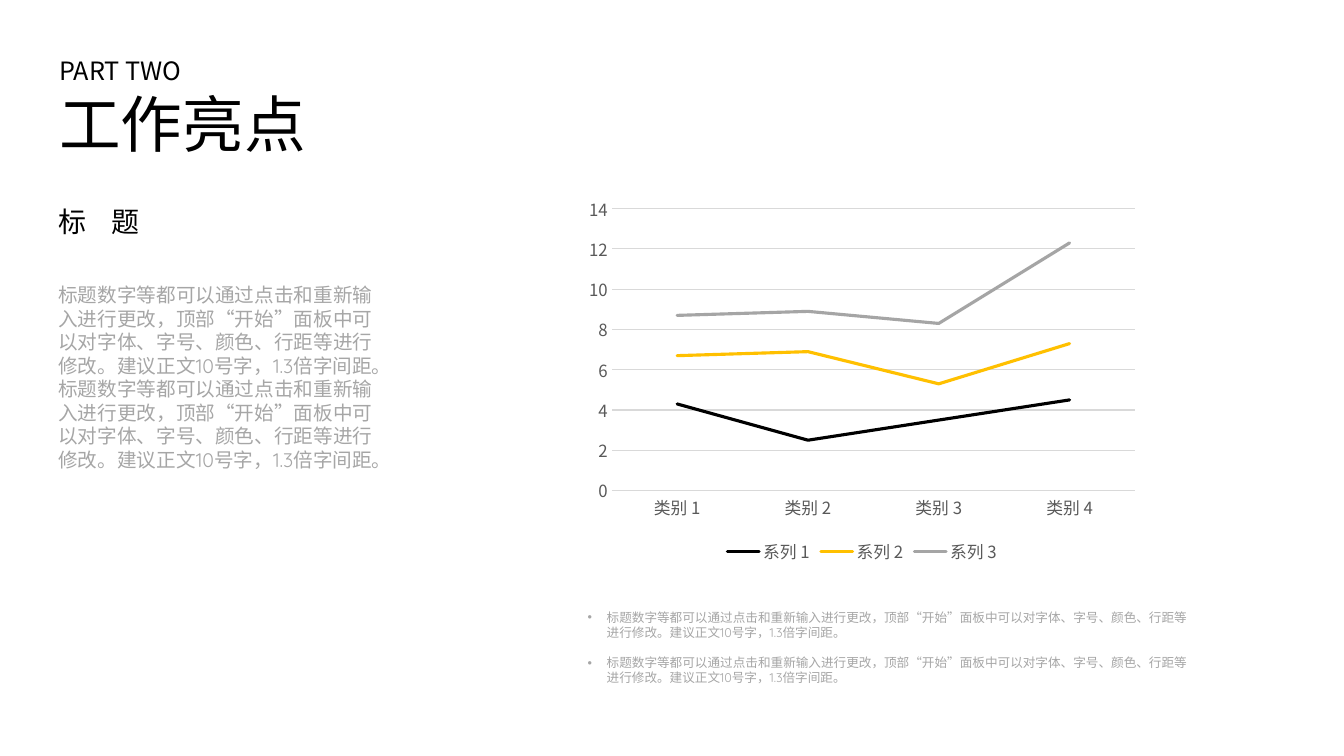
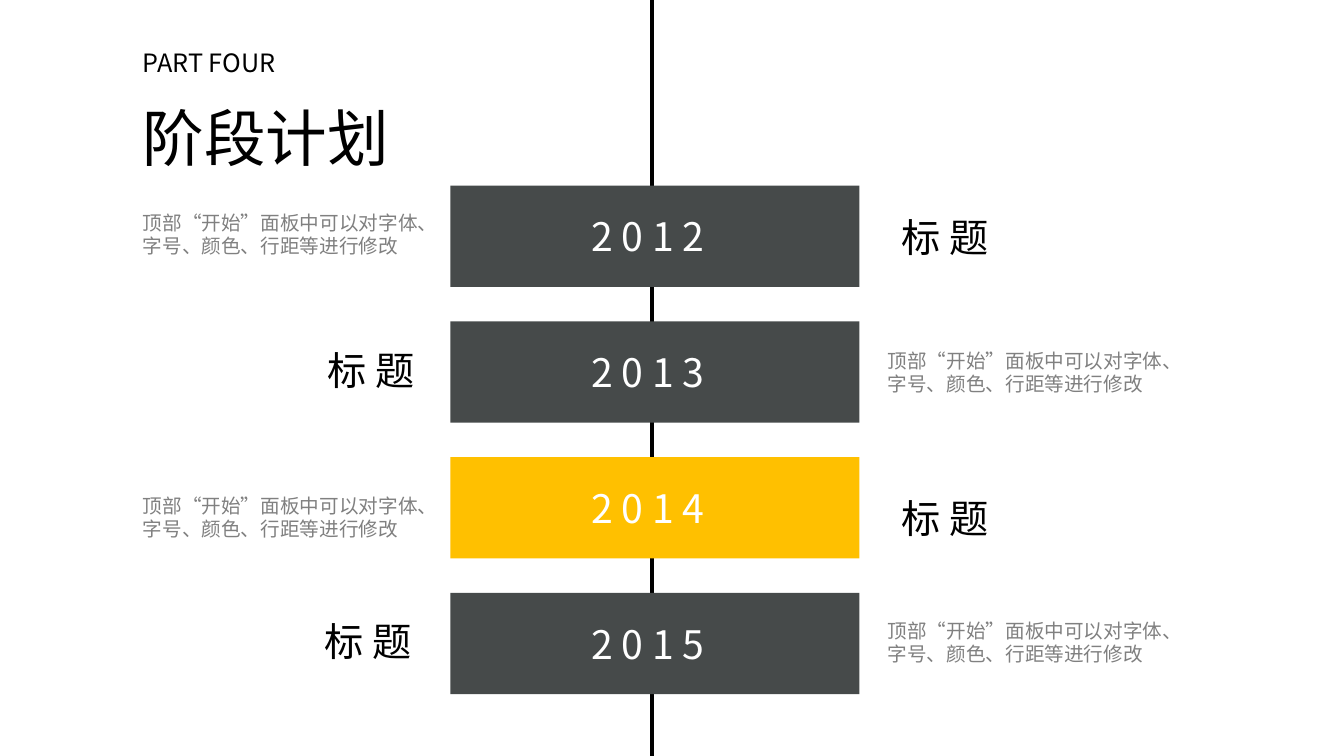
from dataclasses import dataclass

from lxml import etree
from pptx import Presentation
from pptx.chart.data import CategoryChartData
from pptx.dml.color import RGBColor
from pptx.enum.chart import XL_CHART_TYPE, XL_LEGEND_POSITION, XL_TICK_MARK
from pptx.enum.shapes import MSO_CONNECTOR, MSO_SHAPE
from pptx.enum.text import MSO_ANCHOR, MSO_AUTO_SIZE, PP_ALIGN
from pptx.oxml.ns import qn
from pptx.slide import Slide
from pptx.text.text import Font, TextFrame, _Paragraph
from pptx.util import Cm, Pt

LINE_STACKED = XL_CHART_TYPE.LINE_STACKED
LEGEND_BOTTOM = XL_LEGEND_POSITION.BOTTOM
NO_TICK = XL_TICK_MARK.NONE
STRAIGHT = MSO_CONNECTOR.STRAIGHT
RECTANGLE = MSO_SHAPE.RECTANGLE
TOP, MIDDLE = MSO_ANCHOR.TOP, MSO_ANCHOR.MIDDLE
NO_AUTOFIT = MSO_AUTO_SIZE.NONE
LEFT, CENTER = PP_ALIGN.LEFT, PP_ALIGN.CENTER
TITLE_ONLY = 5


@dataclass(frozen=True)
class Theme:
    black: str = "000000"
    white: str = "FFFFFF"
    slate: str = "464A4A"
    amber: str = "FFC000"
    silver: str = "A5A5A5"
    body_grey: str = "A6A6A6"
    note_grey: str = "808080"
    axis_grey: str = "595959"
    grid_grey: str = "D9D9D9"
    cjk_font: str = "Noto Sans CJK SC"
    body_font: str = "Quicksand"
    title_size: int = 44
    label_size: int = 28
    heading_size: int = 20
    kicker_size: int = 18
    body_size: int = 14
    chart_size: int = 12
    bullet_size: int = 9


THEME = Theme()


@dataclass(frozen=True)
class Style:
    size: int
    color: str
    font: str = THEME.cjk_font
    tracking: float = 0


@dataclass(frozen=True)
class Box:
    """Place and size in centimetres."""
    left: float
    top: float
    width: float
    height: float

    def lengths(self) -> tuple[Cm, Cm, Cm, Cm]:
        return Cm(self.left), Cm(self.top), Cm(self.width), Cm(self.height)


@dataclass(frozen=True)
class Series:
    name: str
    values: tuple[float, ...]
    color: str


@dataclass(frozen=True)
class Stage:
    year: str
    color: str
    heading_left: float
    heading_top: float
    note_left: float
    note_top: float


KICKER = Style(THEME.kicker_size, THEME.black)
TITLE = Style(THEME.title_size, THEME.black)
HEADING = Style(THEME.heading_size, THEME.black, tracking=6.7)
LABEL = Style(THEME.label_size, THEME.black)
YEAR = Style(THEME.label_size, THEME.white)
BODY = Style(THEME.body_size, THEME.body_grey, THEME.body_font)
BULLET = Style(THEME.bullet_size, THEME.body_grey, THEME.body_font)
NOTE = Style(THEME.body_size, THEME.note_grey)
CHART_TEXT = Style(THEME.chart_size, THEME.axis_grey)

GUIDANCE = ("标题数字等都可以通过点击和重新输入进行更改，顶部“开始”面板中可以对字体、"
            "字号、颜色、行距等进行修改。建议正文10号字，1.3倍字间距。")
STAGE_NOTE = "顶部“开始”面板中可以对字体、字号、颜色、行距等进行修改"

CATEGORIES = ("类别 1", "类别 2", "类别 3", "类别 4")
SERIES = (
    Series("系列 1", (4.3, 2.5, 3.5, 4.5), THEME.black),
    Series("系列 2", (2.4, 4.4, 1.8, 2.8), THEME.amber),
    Series("系列 3", (2, 2, 3, 5), THEME.silver),
)

FIRST_BAR = Box(11.35, 4.68, 10.31, 2.55)
BAR_PITCH = 3.42
STAGES = (
    Stage("2 0 1 2", THEME.slate, 22.46, 5.26, 3.35, 5.18),
    Stage("2 0 1 3", THEME.slate, 8, 8.61, 22.12, 8.66),
    Stage("2 0 1 4", THEME.amber, 22.46, 12.32, 3.35, 12.32),
    Stage("2 0 1 5", THEME.slate, 7.92, 15.44, 22.12, 15.47),
)


def rgb(color: str) -> RGBColor:
    return RGBColor.from_string(color)


def format_font(font: Font, style: Style) -> None:
    font.size = Pt(style.size)
    font.name = style.font
    font.color.rgb = rgb(style.color)
    properties = font._rPr
    east_asian = etree.Element(qn("a:ea"), typeface=THEME.cjk_font)
    properties.find(qn("a:latin")).addnext(east_asian)
    if style.tracking:
        properties.set("spc", str(round(style.tracking * 100)))


def format_paragraph(paragraph: _Paragraph, style: Style, spacing: float = 1.0) -> None:
    paragraph.alignment = LEFT
    paragraph.line_spacing = spacing
    for run in paragraph.runs:
        format_font(run.font, style)


def add_text(slide: Slide, box: Box, text: str, style: Style) -> TextFrame:
    frame = slide.shapes.add_textbox(*box.lengths()).text_frame
    frame.word_wrap = True
    frame.text = text
    for paragraph in frame.paragraphs:
        format_paragraph(paragraph, style)
    return frame


def add_bullets(frame: TextFrame) -> None:
    indent = Cm(0.48)
    for paragraph in frame.paragraphs:
        paragraph.space_after = Pt(10.8)
        properties = paragraph._p.get_or_add_pPr()
        properties.set("marL", str(indent))
        properties.set("indent", str(-indent))
        etree.SubElement(properties, qn("a:buFont"), typeface="Arial")
        etree.SubElement(properties, qn("a:buChar"), char="•")


def add_titled_slide(deck: Presentation, box: Box, kicker: str, title: str,
                     spacing: float = 1.0, kicker_indent: float = 0) -> Slide:
    slide = deck.slides.add_slide(deck.slide_layouts[TITLE_ONLY])
    heading = slide.shapes.title
    heading.left, heading.top, heading.width, heading.height = box.lengths()
    frame = heading.text_frame
    frame.word_wrap = True
    frame.auto_size = NO_AUTOFIT
    frame.vertical_anchor = TOP
    frame.text = f"{kicker}\n{title}"
    for paragraph, style in zip(frame.paragraphs, (KICKER, TITLE)):
        format_paragraph(paragraph, style, spacing)
    frame.paragraphs[0]._p.get_or_add_pPr().set("marL", str(Cm(kicker_indent)))
    return slide


def add_trend_chart(slide: Slide, box: Box) -> None:
    data = CategoryChartData()
    data.categories = CATEGORIES
    for series in SERIES:
        data.add_series(series.name, series.values)
    chart = slide.shapes.add_chart(LINE_STACKED, *box.lengths(), data).chart
    format_font(chart.font, CHART_TEXT)
    chart.has_title = False
    chart.has_legend = True
    chart.legend.position = LEGEND_BOTTOM
    chart.legend.include_in_layout = False
    chart.plots[0].vary_by_categories = False

    for axis in (chart.category_axis, chart.value_axis):
        axis.major_tick_mark = axis.minor_tick_mark = NO_TICK
    chart.value_axis.has_major_gridlines = True
    chart.value_axis.format.line.fill.background()
    for rule in (chart.category_axis.format.line,
                 chart.value_axis.major_gridlines.format.line):
        rule.color.rgb = rgb(THEME.grid_grey)
        rule.width = Pt(0.75)

    for plotted, series in zip(chart.plots[0].series, SERIES):
        plotted.smooth = False
        line = plotted.format.line
        line.color.rgb = rgb(series.color)
        line.width = Pt(2.25)
        plotted._element.spPr.find(qn("a:ln")).set("cap", "rnd")


def add_timeline_axis(slide: Slide, x: float, bottom: int) -> None:
    axis = slide.shapes.add_connector(STRAIGHT, Cm(x), 0, Cm(x), bottom)
    axis.line.color.rgb = rgb(THEME.black)
    axis.line.width = Pt(3)
    etree.SubElement(axis._element.spPr, qn("a:effectLst"))


def add_stage(slide: Slide, stage: Stage, bar_box: Box) -> None:
    bar = slide.shapes.add_shape(RECTANGLE, *bar_box.lengths())
    bar.shadow.inherit = False
    bar.fill.solid()
    bar.fill.fore_color.rgb = rgb(stage.color)
    bar.line.fill.background()
    frame = bar.text_frame
    frame.margin_right = Cm(0.6)
    frame.vertical_anchor = MIDDLE
    frame.text = stage.year
    year = frame.paragraphs[0]
    format_paragraph(year, YEAR)
    year.alignment = CENTER
    add_text(slide, Box(stage.note_left, stage.note_top, 8, 1.45), STAGE_NOTE, NOTE)
    add_text(slide, Box(stage.heading_left, stage.heading_top, 3, 1.45), "标 题", LABEL)


def build_highlights(deck: Presentation) -> None:
    slide = add_titled_slide(deck, Box(0.96, 1.27, 8, 2.9), "PART TWO", "工作亮点",
                             kicker_indent=0.28)
    add_trend_chart(slide, Box(14.56, 4.75, 14.33, 9.56))
    add_bullets(add_text(slide, Box(14.56, 15.24, 15.82, 2.18),
                         f"{GUIDANCE}\n{GUIDANCE}", BULLET))
    add_text(slide, Box(1.22, 5.03, 3, 1.12), "标 题", HEADING)
    add_text(slide, Box(1.22, 7.01, 8.9, 5.05), GUIDANCE * 2, BODY)


def build_plan(deck: Presentation) -> None:
    slide = add_titled_slide(deck, Box(3.34, 0.84, 8, 3.35), "PART FOUR", "阶段计划",
                             spacing=1.3)
    add_timeline_axis(slide, 16.43, deck.slide_height)
    for row, stage in enumerate(STAGES):
        top = FIRST_BAR.top + row * BAR_PITCH
        add_stage(slide, stage,
                  Box(FIRST_BAR.left, top, FIRST_BAR.width, FIRST_BAR.height))


def main() -> None:
    deck = Presentation()
    deck.slide_width, deck.slide_height = Cm(33.87), Cm(19.05)
    build_highlights(deck)
    build_plan(deck)
    deck.save("out.pptx")


if __name__ == "__main__":
    main()
